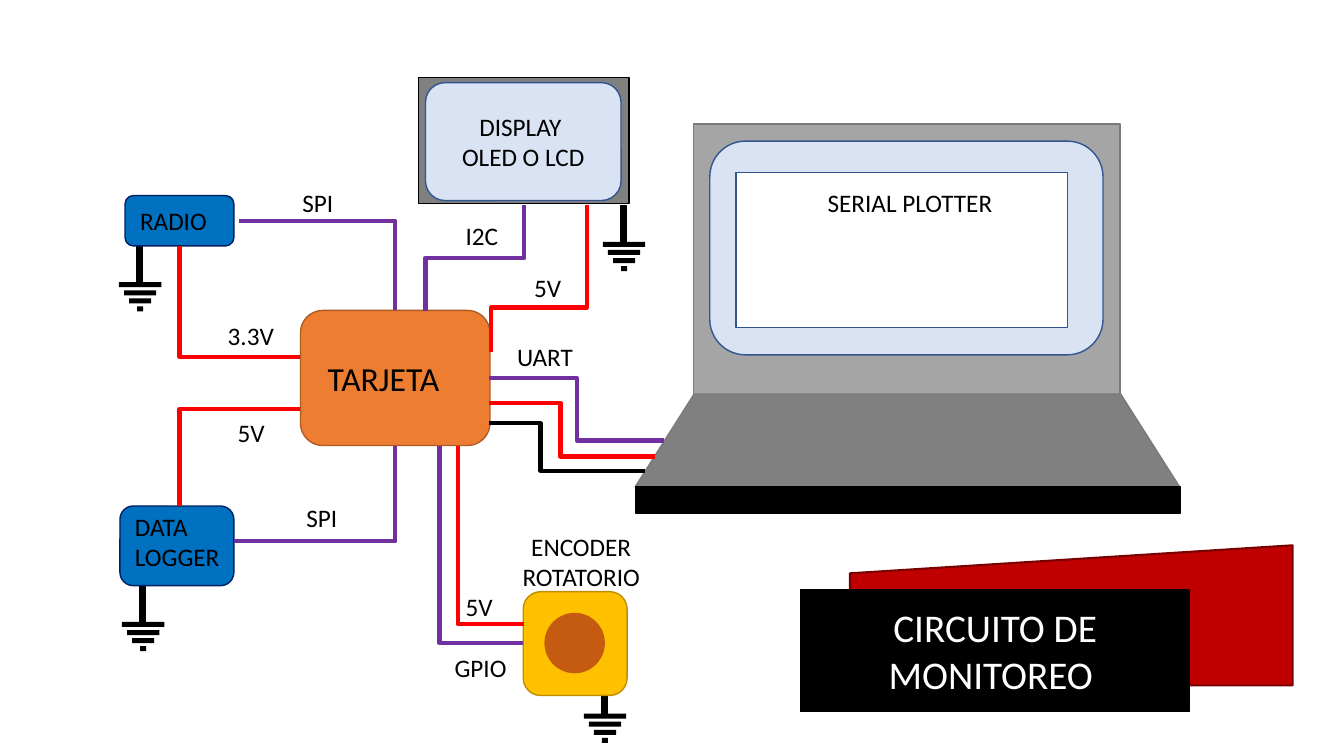
from pptx import Presentation
from pptx.dml.color import RGBColor
from pptx.enum.shapes import MSO_CONNECTOR, MSO_SHAPE as Shape
from pptx.enum.text import MSO_ANCHOR as Anchor, MSO_AUTO_SIZE as AutoSize, PP_ALIGN as Align
from pptx.oxml import parse_xml
from pptx.oxml.ns import nsdecls, qn
from pptx.util import Inches, Pt
from lxml import etree

COLORS = {
    "black": "000000", "white": "FFFFFF", "orange": "ED7D31", "rust": "AF5C24",
    "crimson": "C00000", "maroon": "7A0000", "blue": "0070C0", "navy": "002060",
    "purple": "7030A0", "red": "FF0000", "silver": "A5A5A5", "gray": "808080",
    "edge": "7A7A7A", "ice": "DAE3F3", "steel": "325491", "yellow": "FFC000",
    "gold": "BD8E00", "knob": "C55A11",
}


def rgb(name):
    return RGBColor.from_string(COLORS[name])


def write(tf, text, size=18, color="black", align=Align.LEFT, anchor=Anchor.TOP, wrap=True):
    """Fill a text frame, one paragraph per line of text."""
    tf.word_wrap = wrap
    tf.vertical_anchor = anchor
    for i, line in enumerate(text.split("\n")):
        p = tf.add_paragraph() if i else tf.paragraphs[0]
        p.alignment = align
        p.line_spacing = 1.0
        r = p.add_run()
        r.text = line
        r.font.name = "Calibri"
        r.font.size = Pt(size)
        r.font.color.rgb = rgb(color)


class Diagram:
    wire_width = 3
    ground_widths = (0.42, 0.32, 0.22, 0.06)

    def __init__(self, slide):
        self.s = slide

    def paint(self, sp, fill, line, width=1):
        sp.fill.solid()
        sp.fill.fore_color.rgb = rgb(fill)
        if line:
            sp.line.color.rgb = rgb(line)
            sp.line.width = Pt(width)
        else:
            sp.line.fill.background()

    def shape(self, kind, box, fill, line=None, width=1, adj=None):
        sp = self.s.shapes.add_shape(kind, *map(Inches, box))
        sp.shadow.inherit = False
        self.paint(sp, fill, line, width)
        if adj is not None:
            sp.adjustments[0] = adj
        return sp

    def label(self, text, box, **style):
        tf = self.s.shapes.add_textbox(*map(Inches, box)).text_frame
        write(tf, text, **style)
        tf.auto_size = AutoSize.SHAPE_TO_FIT_TEXT

    def title(self, text, box):
        """Pill-shaped title, brought to the front."""
        sp = self.s.shapes.title
        sp.left, sp.top, sp.width, sp.height = map(Inches, box)
        sp.element.spPr.find(qn("a:xfrm")).addnext(parse_xml(
            f'<a:prstGeom {nsdecls("a")} prst="roundRect"><a:avLst>'
            '<a:gd name="adj" fmla="val 50000"/></a:avLst></a:prstGeom>'))
        self.paint(sp, "black", "black")
        write(sp.text_frame, text, size=28, color="white", align=Align.CENTER, anchor=Anchor.MIDDLE)
        sp.text_frame.auto_size = AutoSize.NONE
        self.s.shapes.element.append(sp.element)

    def wire(self, color, start, end, bend, upright=False):
        """Elbow wire; bend is the share of the way to the turn, upright leaves vertically."""
        (x1, y1), (x2, y2) = start, end
        if upright:  # quarter turn about the centre
            cx, cy = (x1 + x2) / 2, (y1 + y2) / 2
            x1, y1, x2, y2 = cx + y1 - cy, cy - x1 + cx, cx + y2 - cy, cy - x2 + cx
        c = self.s.shapes.add_connector(MSO_CONNECTOR.ELBOW, *map(Inches, (x1, y1, x2, y2)))
        c.line.color.rgb = rgb(color)
        c.line.width = Pt(self.wire_width)
        spPr = c.element.spPr
        if upright:
            spPr.find(qn("a:xfrm")).set("rot", "5400000")
        guides = spPr.find(qn("a:prstGeom")).find(qn("a:avLst"))
        etree.SubElement(guides, qn("a:gd"), name="adj1", fmla=f"val {round(bend * 100000)}")
        etree.SubElement(spPr, qn("a:effectLst"))

    def ground(self, cx, top):
        self.shape(Shape.RECTANGLE, (cx - 0.03, top, 0.05, 0.4), "black", "black")
        for i, w in enumerate(self.ground_widths):
            self.shape(Shape.RECTANGLE, (cx - w / 2, top + 0.36 + 0.08 * i, w, 0.05), "black")


def main():
    prs = Presentation()
    prs.slide_width, prs.slide_height = Inches(13.33), Inches(7.5)
    d = Diagram(prs.slides.add_slide(prs.slide_layouts[5]))
    rect, rounded = Shape.RECTANGLE, Shape.ROUNDED_RECTANGLE

    # Title with its red banner
    d.shape(Shape.FLOWCHART_MANUAL_INPUT, (8.43, 5.41, 4.39, 1.39), "crimson", "maroon", 1.5)
    d.title("CIRCUITO DE MONITOREO ", (7.94, 5.85, 3.86, 1.21))

    # Grounds of radio, logger, encoder and display
    for cx, top in ((1.39, 2.44), (1.42, 5.81), (6, 6.72), (6.19, 2.04)):
        d.ground(cx, top)

    # Controller, radio and data logger
    d.shape(rounded, (2.98, 3.08, 1.88, 1.34), "orange", "rust")
    d.label("TARJETA", (3.15, 3.5, 1.52, 0.5), size=24)
    d.shape(rounded, (1.24, 1.94, 1.08, 0.5), "blue", "navy")
    d.label("RADIO", (1.29, 1.99, 1.08, 0.4))
    d.shape(rounded, (1.19, 5.02, 1.13, 0.79), "blue", "navy")
    d.label("DATA LOGGER", (1.24, 5.02, 1.08, 0.71))

    # Laptop
    d.shape(rect, (6.88, 1.23, 4.23, 2.69), "silver", "edge")
    d.shape(Shape.TRAPEZOID, (6.3, 3.91, 5.4, 0.92), "gray", "edge", adj=0.635)
    d.shape(rect, (6.3, 4.83, 5.41, 0.26), "black", "black")
    d.shape(rounded, (7.04, 1.4, 3.9, 2.12), "ice", "steel")
    d.shape(rect, (7.3, 1.71, 3.29, 1.54), "white", "steel")

    # Rotary encoder
    d.shape(rounded, (5.19, 5.87, 1.03, 1.03), "yellow", "gold")
    d.shape(Shape.OVAL, (5.4, 6.08, 0.6, 0.6), "knob")
    d.label("ENCODER ROTATORIO", (5.03, 5.22, 1.47, 0.71), align=Align.CENTER)

    # Display
    d.shape(rect, (4.15, 0.77, 2.09, 1.25), "gray", "black")
    screen = d.shape(rounded, (4.22, 0.82, 1.94, 1.17), "ice", "steel")
    write(screen.text_frame, "DISPLAY \nOLED O LCD", align=Align.CENTER, anchor=Anchor.MIDDLE)

    # Wires: bend 1 turns at the far end, bend 0 at the near end
    for color, start, end, bend in (
        ("purple", (2.37, 2.19), (3.92, 3.08), 1),
        ("purple", (2.32, 5.37), (3.92, 4.42), 1),
        ("red", (1.78, 2.44), (2.98, 3.54), 0),
        ("red", (1.78, 5.02), (2.98, 4.06), 0),
        ("purple", (4.85, 3.75), (6.59, 4.37), 0.5),
        ("red", (4.85, 4), (6.5, 4.53), 0.43),
        ("black", (4.85, 4.2), (6.4, 4.67), 0.33),
        ("purple", (4.36, 4.42), (5.19, 6.38), 0),
        ("red", (4.54, 4.42), (5.2, 6.19), 0),
    ):
        d.wire(color, start, end, bend)
    d.wire("purple", (5.2, 2.03), (4.22, 3.09), 0.5, upright=True)
    d.wire("red", (4.87, 3.49), (5.82, 2.03), 0.3, upright=True)

    # Signal labels
    for text, x, y, w in (
        ("SPI", 2.9, 1.81, 0.51), ("SPI", 2.94, 4.93, 0.51),
        ("3.3V", 2.16, 3.13, 0.66), ("5V", 2.26, 4.09, 0.47),
        ("UART", 5.03, 3.34, 0.76), ("SERIAL PLOTTER", 8.11, 1.81, 1.85),
        ("GPIO", 4.41, 6.42, 0.72), ("I2C", 4.52, 2.14, 0.53),
        ("5V", 5.2, 2.65, 0.47), ("5V", 4.52, 5.82, 0.47),
    ):
        d.label(text, (x, y, w, 0.4), wrap=False)

    prs.save("out.pptx")


if __name__ == "__main__":
    main()
